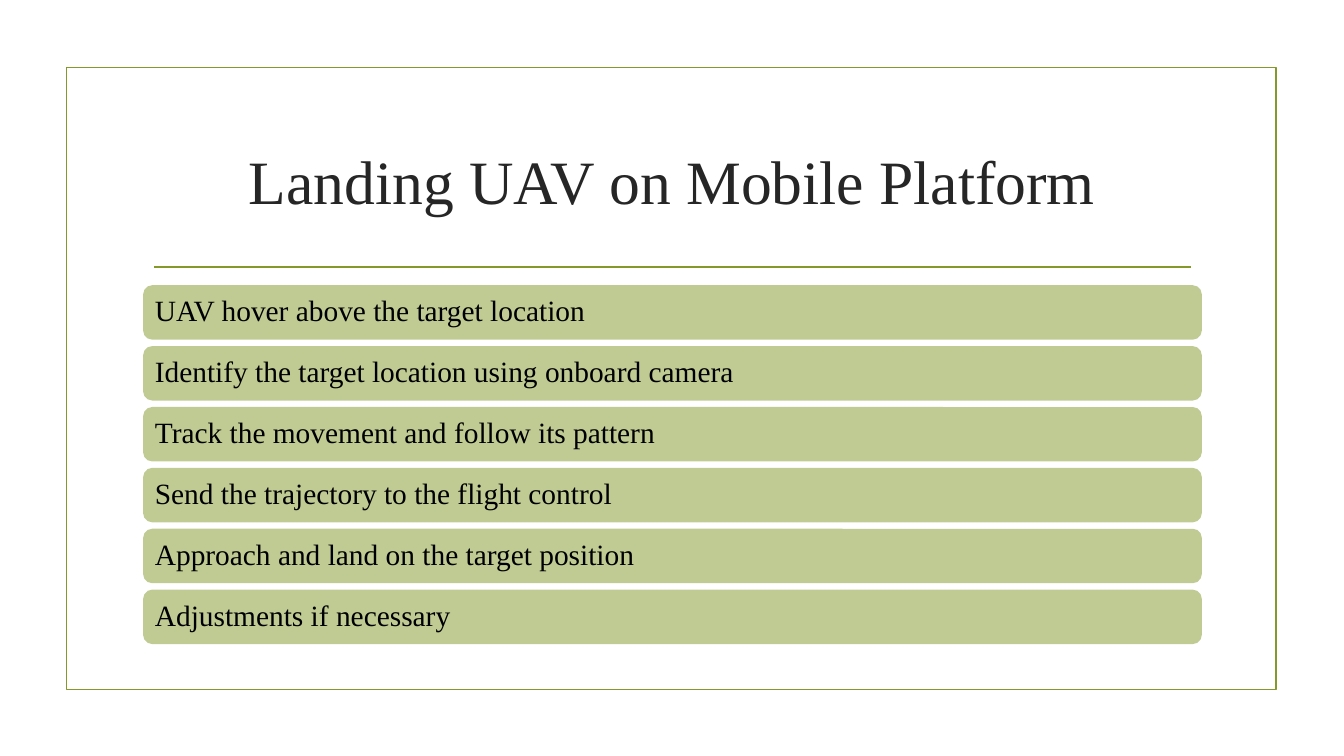
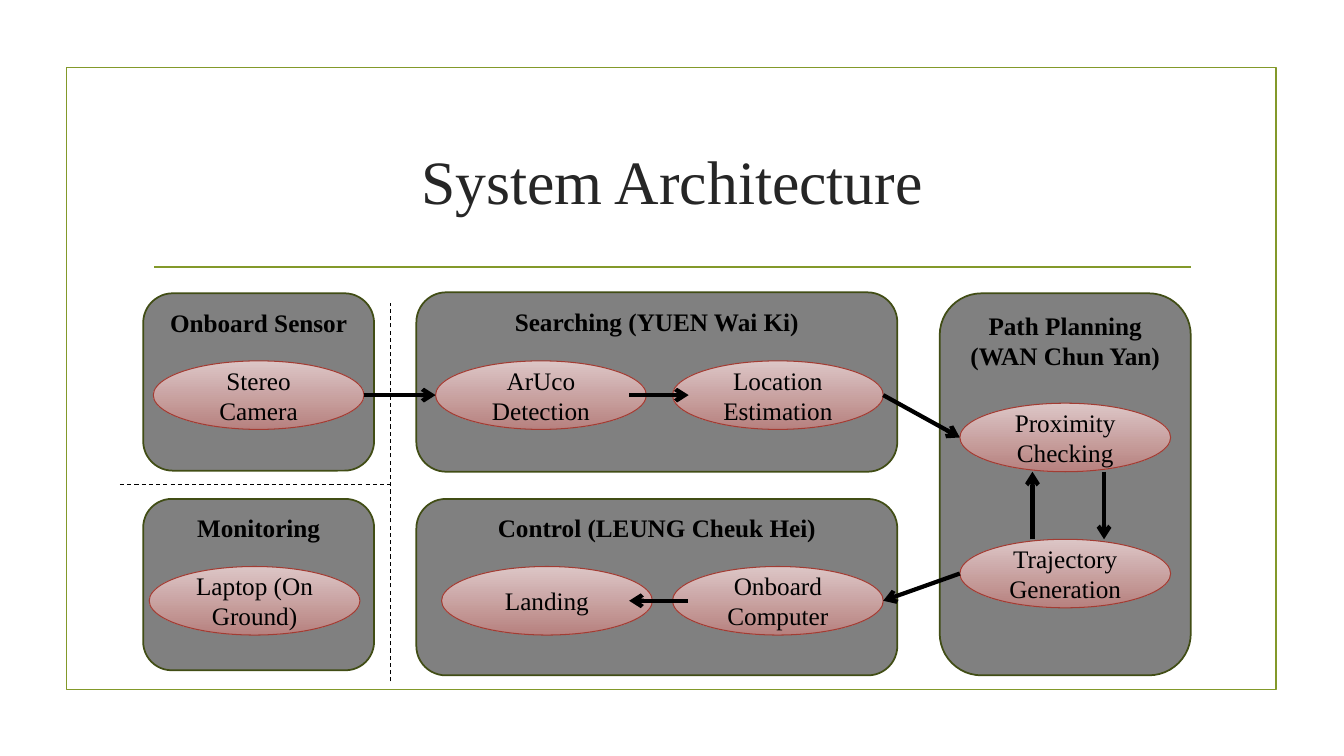
from lxml import etree
from pptx import Presentation
from pptx.dml.color import RGBColor
from pptx.enum.dml import MSO_LINE
from pptx.enum.shapes import MSO_CONNECTOR, MSO_SHAPE
from pptx.enum.text import MSO_ANCHOR, PP_ALIGN
from pptx.oxml.ns import qn
from pptx.util import Inches, Pt

RECT, ROUNDED, ELLIPSE = MSO_SHAPE.RECTANGLE, MSO_SHAPE.ROUNDED_RECTANGLE, MSO_SHAPE.OVAL
STRAIGHT, DASH = MSO_CONNECTOR.STRAIGHT, MSO_LINE.DASH
TOP, MIDDLE = MSO_ANCHOR.TOP, MSO_ANCHOR.MIDDLE
LEFT, CENTER = PP_ALIGN.LEFT, PP_ALIGN.CENTER

FONT = "Times New Roman"
OLIVE, DARK_OLIVE, GREY = "83992A", "414D15", "808080"
RED, PALE_ROSE, ROSE = "A23C33", "DCC6C6", "B7817F"
BLACK, TITLE_INK = "000000", "262626"
rgb = RGBColor.from_string


def add_box(slide, kind, at, outline=None, width=1.25, text="", size=18,
            bold=False, anchor=MIDDLE, align=CENTER):
    """Add an unfilled shape, with outline and text; the caller fills it."""
    box = slide.shapes.add_shape(kind, *map(Inches, at))
    box.shadow.inherit = False
    box.fill.background()
    if outline:
        box.line.color.rgb = rgb(outline)
        box.line.width = Pt(width)
    else:
        box.line.fill.background()
    box.text_frame.text = text
    box.text_frame.vertical_anchor = anchor
    for paragraph in box.text_frame.paragraphs:
        paragraph.alignment = align
        font = paragraph.font
        font.name, font.size, font.bold = FONT, Pt(size), bold
        font.color.rgb = rgb(BLACK)
    return box


def add_line(slide, start, end, color=BLACK, width=3, dashed=False, arrow=False):
    line = slide.shapes.add_connector(STRAIGHT, *map(Inches, (*start, *end)))
    line.line.color.rgb = rgb(color)
    line.line.width = Pt(width)
    if dashed:
        line.line.dash_style = DASH
    properties = line.element.spPr
    if arrow:
        etree.SubElement(properties.find(qn("a:ln")), qn("a:tailEnd"), type="arrow")
    etree.SubElement(properties, qn("a:effectLst"))
    return line


prs = Presentation()
prs.slide_width, prs.slide_height = Inches(13.33), Inches(7.5)

# Shared layout: title position, frame and rule
layout = prs.slide_layouts[5]
for placeholder in list(layout.placeholders):
    if placeholder.placeholder_format.idx != 0:
        layout.shapes.element.remove(placeholder.element)
        continue
    placeholder.left, placeholder.top = Inches(1.42), Inches(1.07)
    placeholder.width, placeholder.height = Inches(10.5), Inches(1.43)

steps_slide, architecture_slide = (prs.slides.add_slide(layout) for _ in range(2))
frame = add_box(steps_slide, RECT, (0.66, 0.67, 12, 6.17), OLIVE)
rule = add_line(steps_slide, (1.53, 2.65), (11.81, 2.65), OLIVE, 1.25)
for part in (frame, rule):
    layout.shapes.element.append(part.element)

for slide, heading in ((steps_slide, "Landing UAV on Mobile Platform"),
                       (architecture_slide, "System Architecture")):
    title = slide.shapes.title
    title.text_frame.text = heading
    title.text_frame.vertical_anchor = MIDDLE
    paragraph = title.text_frame.paragraphs[0]
    paragraph.alignment = CENTER
    paragraph.font.name, paragraph.font.size = FONT, Pt(44)
    paragraph.font.color.rgb = rgb(TITLE_INK)

# Landing steps
steps = [
    "UAV hover above the target location",
    "Identify the target location using onboard camera",
    "Track the movement and follow its pattern",
    "Send the trajectory to the flight control",
    "Approach and land on the target position",
    "Adjustments if necessary",
]
FIRST_TOP, LAST_TOP = 2.83, 5.85
step_pitch = (LAST_TOP - FIRST_TOP) / (len(steps) - 1)
for index, step in enumerate(steps):
    bar = add_box(steps_slide, ROUNDED, (1.42, FIRST_TOP + index * step_pitch, 10.5, 0.54),
                  text=step, size=21, align=LEFT)
    bar.text_frame.margin_left = Inches(0.09)
    bar.text_frame.paragraphs[0].line_spacing = 0.9
    bar.fill.solid()
    bar.fill.fore_color.rgb = rgb(OLIVE)
    bar_color = bar.element.spPr.find(qn("a:solidFill")).find(qn("a:srgbClr"))
    etree.SubElement(bar_color, qn("a:alpha"), val="50000")

# Architecture: modules, the components inside them, and the flow
modules = [
    ("Onboard Sensor", (1.42, 2.91, 2.29, 1.76)),
    ("Searching (YUEN Wai Ki)", (4.13, 2.9, 4.77, 1.78)),
    ("Path Planning\n(WAN Chun Yan)", (9.32, 2.91, 2.49, 3.79)),
    ("Control (LEUNG Cheuk Hei)", (4.13, 4.95, 4.77, 1.75)),
    ("Monitoring", (1.42, 4.95, 2.29, 1.7)),
]
for name, at in modules:
    module = add_box(architecture_slide, ROUNDED, at, DARK_OLIVE, text=name,
                     bold=True, anchor=TOP)
    module.fill.solid()
    module.fill.fore_color.rgb = rgb(GREY)

UPPER, LOWER = 3.58, 5.62
components = [
    ("Stereo Camera", 1.52, UPPER),
    ("ArUco Detection", 4.32, UPPER),
    ("Location Estimation", 6.67, UPPER),
    ("Trajectory\nGeneration", 9.52, 5.35),
    ("Proximity Checking", 9.52, 4),
    ("Onboard Computer", 6.67, LOWER),
    ("Landing", 4.38, LOWER),
    ("Laptop (On Ground)", 1.48, LOWER),
]
for name, left, top in components:
    component = add_box(architecture_slide, ELLIPSE, (left, top, 2.09, 0.68), RED, 0.75, name)
    component.fill.gradient()
    component.fill.gradient_angle = 270
    for stop, color in zip(component.fill.gradient_stops, (PALE_ROSE, ROSE)):
        stop.color.rgb = rgb(color)

flow = [
    ((3.61, 3.92), (4.32, 3.92)),
    ((6.24, 3.92), (6.83, 3.92)),
    ((8.76, 3.92), (9.52, 4.34)),
    ((10.95, 4.68), (10.95, 5.35)),
    ((10.24, 5.35), (10.24, 4.68)),
    ((9.52, 5.69), (8.76, 5.96)),
    ((6.82, 5.96), (6.24, 5.96)),
]
for start, end in flow:
    add_line(architecture_slide, start, end, arrow=True)

for start, end in (((1.19, 4.81), (3.87, 4.81)), ((3.87, 6.76), (3.87, 3.01))):
    add_line(architecture_slide, start, end, width=0.75, dashed=True)

prs.save("out.pptx")
